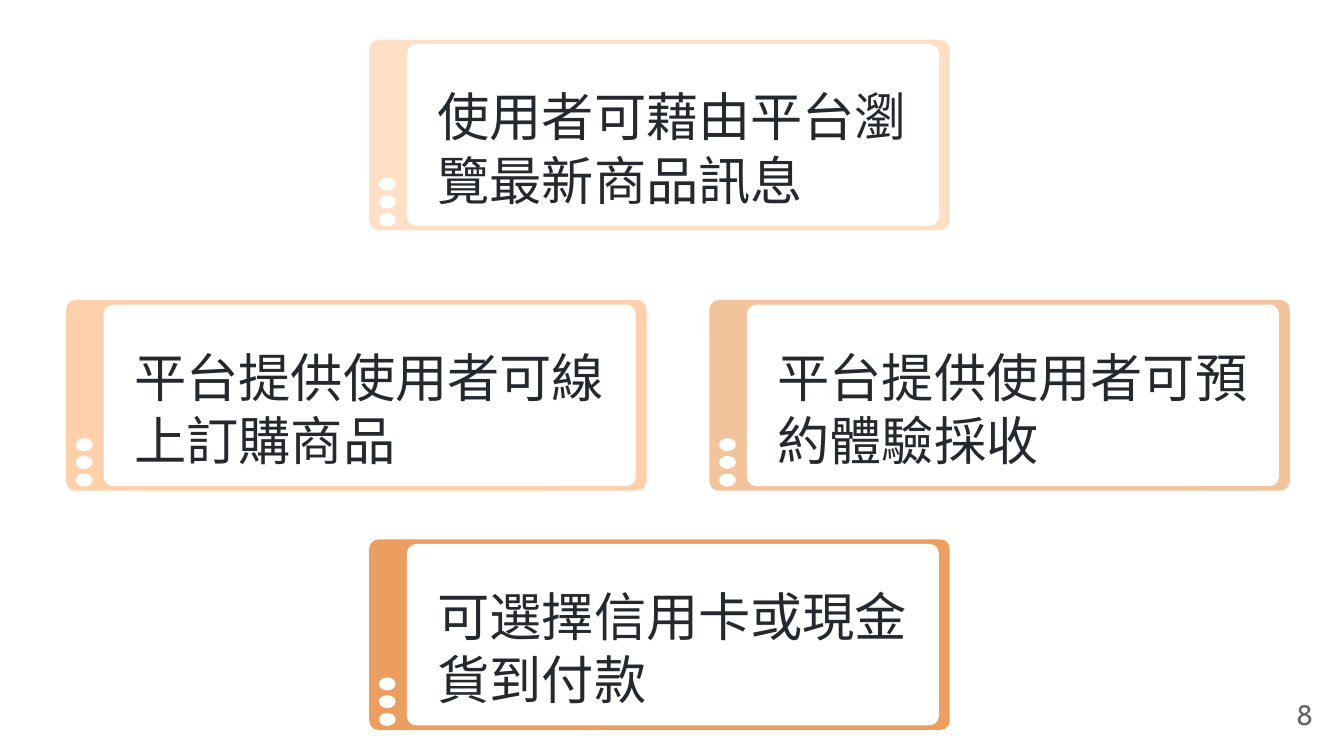
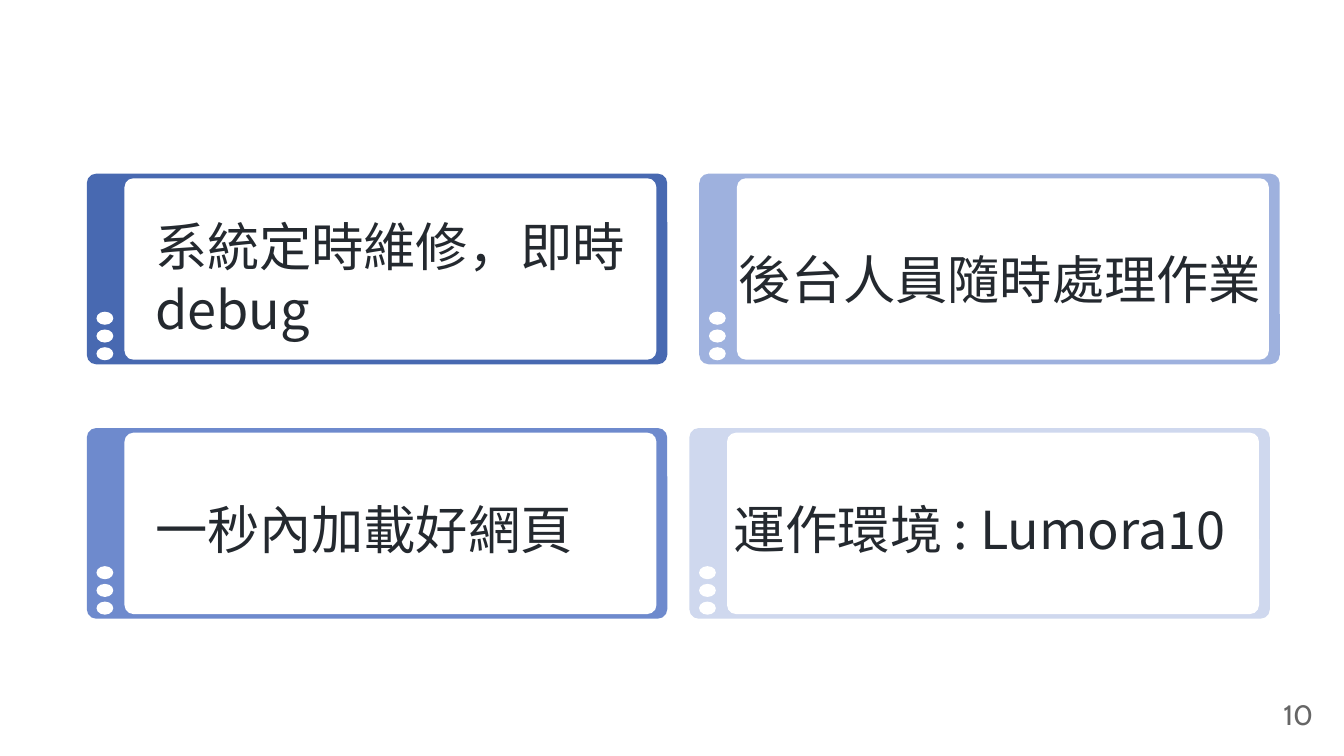
"""Build two slides of framed cards with page numbers."""
from lxml import etree
from pptx import Presentation
from pptx.dml.color import RGBColor
from pptx.enum.shapes import MSO_SHAPE
from pptx.enum.text import MSO_ANCHOR, PP_ALIGN
from pptx.oxml.ns import qn
from pptx.util import Pt

ROUND, OVAL = MSO_SHAPE.ROUNDED_RECTANGLE, MSO_SHAPE.OVAL
TOP, MID = MSO_ANCHOR.TOP, MSO_ANCHOR.MIDDLE
LEFT, RIGHT = PP_ALIGN.LEFT, PP_ALIGN.RIGHT

HEX = {
    "white": "FFFFFF", "ink": "24292F", "gray": "666666",
    "cream": "FFE0C7", "peach": "FFD0AA", "tan": "F3C39C", "rust": "EC9E61",
    "navy": "4869B1", "blue": "6E8ACD", "sky": "9EB1DE", "mist": "CFD8EE",
}
BODY, NUM = "Noto Sans CJK SC", "Cabin"
WIDE, HIGH = 311, 102.2
LEAD = 33.75


def tone(name):
    """Return the named colour."""
    return RGBColor.from_string(HEX[name])


def block(shapes, kind, x, y, w, h, fill, adj=None):
    """Add a plain filled shape."""
    item = shapes.add_shape(kind, Pt(x), Pt(y), Pt(w), Pt(h))
    item.shadow.inherit = False
    item.fill.solid()
    item.fill.fore_color.rgb = tone(fill)
    item.line.fill.background()
    if adj is not None:
        item.adjustments[0] = adj


def write(shapes, text, x, y, w, h, *, size=28, font=BODY, color="ink",
          align=LEFT, anchor=TOP, lead=None):
    """Add a wrapped text box."""
    frame = shapes.add_textbox(Pt(x), Pt(y), Pt(w), Pt(h)).text_frame
    frame.word_wrap = True
    frame.vertical_anchor = anchor
    para = frame.paragraphs[0]
    para.alignment = align
    if lead:
        para.line_spacing = Pt(lead)
    run = para.add_run()
    run.text = text
    run.font.size = Pt(size)
    run.font.color.rgb = tone(color)
    run.font.name = font
    east = etree.SubElement(run._r.get_or_add_rPr(), qn("a:ea"))
    east.set("typeface", font)


def card(slide, text, x, y, fill, dx=29.5, dy=20.5, w=266.4, rows=2):
    """Add a frame with a white pane, three dots and its text."""
    shapes = slide.shapes.add_group_shape().shapes
    block(shapes, ROUND, x, y, WIDE, HIGH, fill, 0.05)
    block(shapes, ROUND, x + 20.2, y + 2.5, 285, 97.2, "white", 0.05)
    for i in range(3):
        block(shapes, OVAL, x + 5.2, y + 74 + 9.5 * i, 9, 7, "white")
    write(shapes, text, x + dx, y + dy, w, rows * LEAD + 7.2, lead=LEAD)


def page(deck, num, cards):
    """Add a slide with its cards and page number."""
    slide = deck.slides.add_slide(deck.slide_layouts[6])
    write(slide.shapes, num, 667.4, 367.2, 43.2, 31, size=15, font=NUM,
          color="gray", align=RIGHT, anchor=MID)
    for args, form in cards:
        card(slide, *args, **form)


def main():
    """Build and save the deck."""
    deck = Presentation()
    deck.slide_width, deck.slide_height = Pt(720), Pt(405)
    page(deck, "8", [
        (("使用者可藉由平台瀏覽最新商品訊息", 197.8, 21.2, "cream"), {}),
        (("平台提供使用者可線上訂購商品", 35.4, 160.7, "peach"), {}),
        (("可選擇信用卡或現金貨到付款", 197.8, 288.9, "rust"), {}),
        (("平台提供使用者可預約體驗採收", 380, 160.7, "tan"), {}),
    ])
    high, low = 93, 229.3
    page(deck, "10", [
        (("系統定時維修，即時debug", 46.5, high, "navy"), {"dy": 18}),
        (("後台人員隨時處理作業", 374.6, high, "sky"),
         {"dx": 14.2, "dy": 36, "w": 326, "rows": 1}),
        (("運作環境 : Lumora10", 369.3, low, "mist"),
         {"dx": 16.6, "dy": 33.6, "w": 348.5, "rows": 1}),
        (("一秒內加載好網頁", 46.5, low, "blue"), {"dy": 33.6, "rows": 1}),
    ])
    deck.save("out.pptx")


if __name__ == "__main__":
    main()
